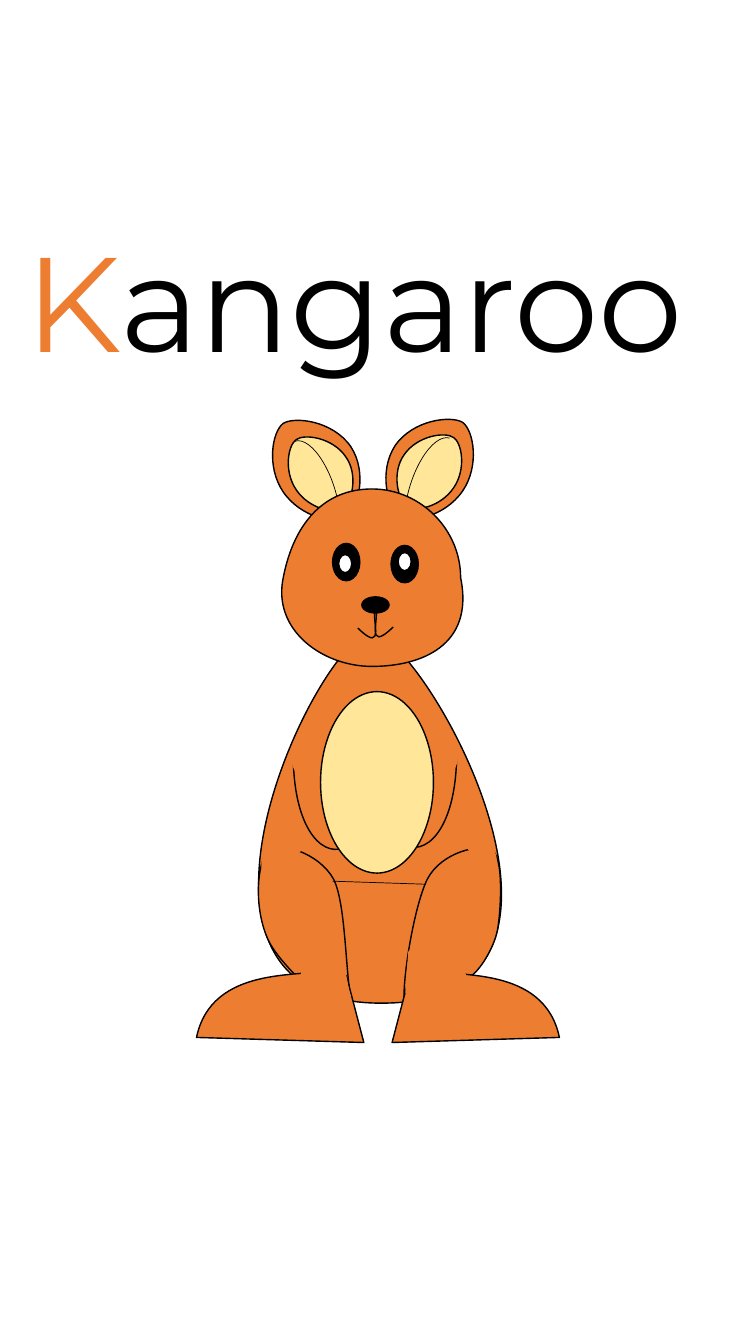
from lxml.etree import Element, SubElement
from pptx import Presentation
from pptx.dml.color import RGBColor
from pptx.enum.shapes import MSO_CONNECTOR, MSO_SHAPE
from pptx.enum.text import MSO_AUTO_SIZE
from pptx.oxml.ns import qn
from pptx.util import Inches, Pt

ORANGE, CREAM, BLACK, WHITE = "ED7D31", "FFE699", "000000", "FFFFFF"
TITLE = [("K", ORANGE), ("angaroo", BLACK)]

EAR = [(2.81, 4.88), (2.64, 4.63, 2.7, 4.28, 2.81, 4.2), (2.92, 4.13, 3.3, 4.17, 3.48, 4.43),
       (3.65, 4.69, 3.55, 5.05, 3.44, 5.13), (3.33, 5.2, 2.99, 5.14, 2.81, 4.88)]
INNER_EAR = [(2.94, 4.86), (2.81, 4.67, 2.86, 4.41, 2.94, 4.36), (3.02, 4.3, 3.3, 4.34, 3.43, 4.53),
             (3.56, 4.71, 3.49, 4.99, 3.4, 5.04), (3.32, 5.1, 3.07, 5.05, 2.94, 4.86)]
BODY = [(3.81, 9.95), (1.38, 9.98, 3.17, 6.31, 3.68, 6.28), (4.18, 6.25, 6.25, 9.93, 3.81, 9.95)]
HEAD = [(2.81, 5.73), (2.91, 5.21, 3.2, 4.85, 3.69, 4.85), (4.17, 4.85, 4.57, 5.25, 4.57, 5.73),
        (4.71, 6.41, 4.17, 6.61, 3.69, 6.61), (3.2, 6.61, 2.7, 6.25, 2.81, 5.73)]
LEFT_LEG = [(2.67, 9.34), (2.51, 9.02, 2.55, 8.55, 2.66, 8.44), (2.76, 8.34, 3.16, 8.45, 3.31, 8.72),
            (3.45, 9, 3.42, 9.83, 3.52, 10.07), (3.62, 10.31, 2.83, 9.66, 2.67, 9.34)]
RIGHT_LEG = [(4.93, 9.25), (4.96, 9.15, 5.01, 8.53, 4.89, 8.44), (4.77, 8.36, 4.38, 8.45, 4.24, 8.72),
             (4.1, 9, 3.95, 9.91, 4.03, 10.07), (4.1, 10.23, 4.56, 9.78, 4.7, 9.66),
             (4.81, 9.56, 4.91, 9.35, 4.93, 9.25)]
ARM = [(3.41, 8.41), (3.17, 8.5, 2.9, 8.17, 2.91, 7.45), (2.98, 7.41, 3.38, 7.22, 3.37, 7.3),
       (3.32, 8.1, 3.47, 8.02, 3.48, 8.21), (3.48, 8.39, 3.49, 8.37, 3.41, 8.41)]
SMILE = [(3.55, 6.23), (3.84, 6.51, 3.67, 6.1, 3.73, 6.04)]
FOOT = [(1.95, 10.29), (2.1, 9.57, 2.99, 9.7, 3.24, 9.62), (3.28, 9.62, 3.44, 9.65, 3.44, 9.69),
        (3.61, 10.34)]
SHOULDER = [(2.92, 7.64), (2.8, 7.35, 3.11, 7.21, 3.16, 7.13), (3.17, 7.12, 3.23, 7.1, 3.24, 7.11),
            (3.44, 7.3)]
LEFT_HIP = [(2.61, 8.67), (2.53, 8.45, 2.75, 8.36, 2.79, 8.3), (2.8, 8.29, 2.84, 8.28, 2.84, 8.29),
            (2.99, 8.44)]
RIGHT_HIP = [(4.87, 8.69), (5.02, 8.51, 4.84, 8.35, 4.82, 8.28), (4.81, 8.27, 4.78, 8.25, 4.77, 8.26),
             (4.58, 8.35)]
RIGHT_ANKLE = [(4.67, 9.81), (4.57, 9.36, 4.23, 9.45, 4.12, 9.4), (4.11, 9.4, 4.05, 9.42, 4.05, 9.44),
               (4.02, 9.85)]
LEFT_ANKLE = [(2.99, 9.33), (3.51, 9.42, 3.42, 9.76, 3.48, 9.87), (3.48, 9.88, 3.47, 9.94, 3.44, 9.94),
              (2.98, 9.97)]


def mirror(outline, axis, rise=0):
    return [tuple(2 * axis - value if index % 2 == 0 else value - rise
                  for index, value in enumerate(step)) for step in outline]


EARS = [(EAR, ORANGE, 1), (mirror(EAR, 3.7, 0.01), ORANGE, 1),
        (mirror(INNER_EAR, 3.72, 0.02), CREAM, 1), (INNER_EAR, CREAM, 1)]
TRUNK = [(BODY, ORANGE, 1), (HEAD, ORANGE, 1), (LEFT_LEG, ORANGE, 1), (ARM, None, 1)]
MOUTH = [(mirror(SMILE, 3.725, 0.01), None, 1), (SMILE, None, 1)]
LIMBS = [(RIGHT_LEG, ORANGE, 1), (mirror(FOOT, 3.75), ORANGE, 1), (mirror(ARM, 3.72, 0.02), None, 1),
         (mirror(SHOULDER, 3.72, 0.03), ORANGE, 0), (SHOULDER, ORANGE, 0), (LEFT_HIP, ORANGE, 0),
         (RIGHT_HIP, ORANGE, 0), (RIGHT_ANKLE, ORANGE, 0), (FOOT, ORANGE, 1), (LEFT_ANKLE, ORANGE, 0)]
EAR_FOLDS = [((2.86, 4.35, 0.47, 1.12), -17.3, False), ((4.06, 4.32, 0.47, 1.12), 17.3, True)]
FACE = [((3.88, 5.41, 0.27, 0.37), BLACK), ((3.3, 5.39, 0.27, 0.37), BLACK),
        ((3.36, 5.5, 0.13, 0.18), WHITE), ((3.95, 5.48, 0.13, 0.18), WHITE),
        ((3.59, 5.92, 0.27, 0.16), BLACK)]
BELLY = [((3.18, 6.86, 1.12, 1.8), CREAM)]
POUCH = (4.22, 8.77, 3.3, 8.74)

presentation = Presentation()
presentation.slide_width, presentation.slide_height = Inches(7.5), Inches(13.33)
slide = presentation.slides.add_slide(presentation.slide_layouts[6])
shapes = slide.shapes


def color(value):
    return RGBColor.from_string(value)


def style(shape, fill, line_width):
    shape.shadow.inherit = False
    if fill:
        shape.fill.solid()
        shape.fill.fore_color.rgb = color(fill)
    else:
        shape.fill.background()
    if line_width:
        shape.line.color.rgb = color(BLACK)
        shape.line.width = Pt(line_width)
    else:
        shape.line.fill.background()


def bend(shape, steps):
    segments = iter(list(shape._element.iter(qn("a:lnTo"))))
    for step in steps:
        corners = [next(segments) for _ in range(len(step) // 2)]
        if len(corners) == 3:
            curve = Element(qn("a:cubicBezTo"))
            corners[0].addprevious(curve)
            for corner in corners:
                curve.append(corner[0])
                corner.getparent().remove(corner)


def add_outlines(outlines, close=True):
    for outline, fill, line_width in outlines:
        start, *steps = outline
        points = [(Inches(step[i]), Inches(step[i + 1])) for step in steps for i in range(0, len(step), 2)]
        builder = shapes.build_freeform(*map(Inches, start))
        builder.add_line_segments(points, close=close)
        shape = builder.convert_to_shape()
        bend(shape, steps)
        style(shape, fill, line_width)


def add_ovals(ovals):
    for box, fill in ovals:
        style(shapes.add_shape(MSO_SHAPE.OVAL, *map(Inches, box)), fill, 1)


def add_title():
    box = shapes.add_textbox(*map(Inches, (0.15, 2.11, 7.58, 1.78)))
    frame = box.text_frame
    frame.word_wrap = True
    frame.auto_size = MSO_AUTO_SIZE.SHAPE_TO_FIT_TEXT
    paragraph = frame.paragraphs[0]
    paragraph.font.size, paragraph.font.name = Pt(96), "Montserrat"
    for text, tint in TITLE:
        run = paragraph.add_run()
        run.text = text
        run.font.color.rgb = color(tint)


def add_ear_folds():
    for box, turn, flipped in EAR_FOLDS:
        fold = shapes.add_shape(MSO_SHAPE.ARC, *map(Inches, box))
        fold.adjustments[0], fold.adjustments[1] = 162, 29.98
        fold.rotation = turn
        if flipped:
            fold._element.spPr.find(qn("a:xfrm")).set("flipH", "1")
        style(fold, None, 0.5)


def add_pouch():
    pouch = shapes.add_connector(MSO_CONNECTOR.STRAIGHT, *map(Inches, POUCH))
    pouch.line.color.rgb = color(BLACK)
    pouch.line.width = Pt(0.5)
    SubElement(pouch._element.spPr, qn("a:effectLst"))


add_title()
add_outlines(EARS)
add_ear_folds()
add_outlines(TRUNK)
add_ovals(FACE)
add_outlines(MOUTH, close=False)
add_outlines(LIMBS)
add_pouch()
add_ovals(BELLY)
presentation.save("out.pptx")
